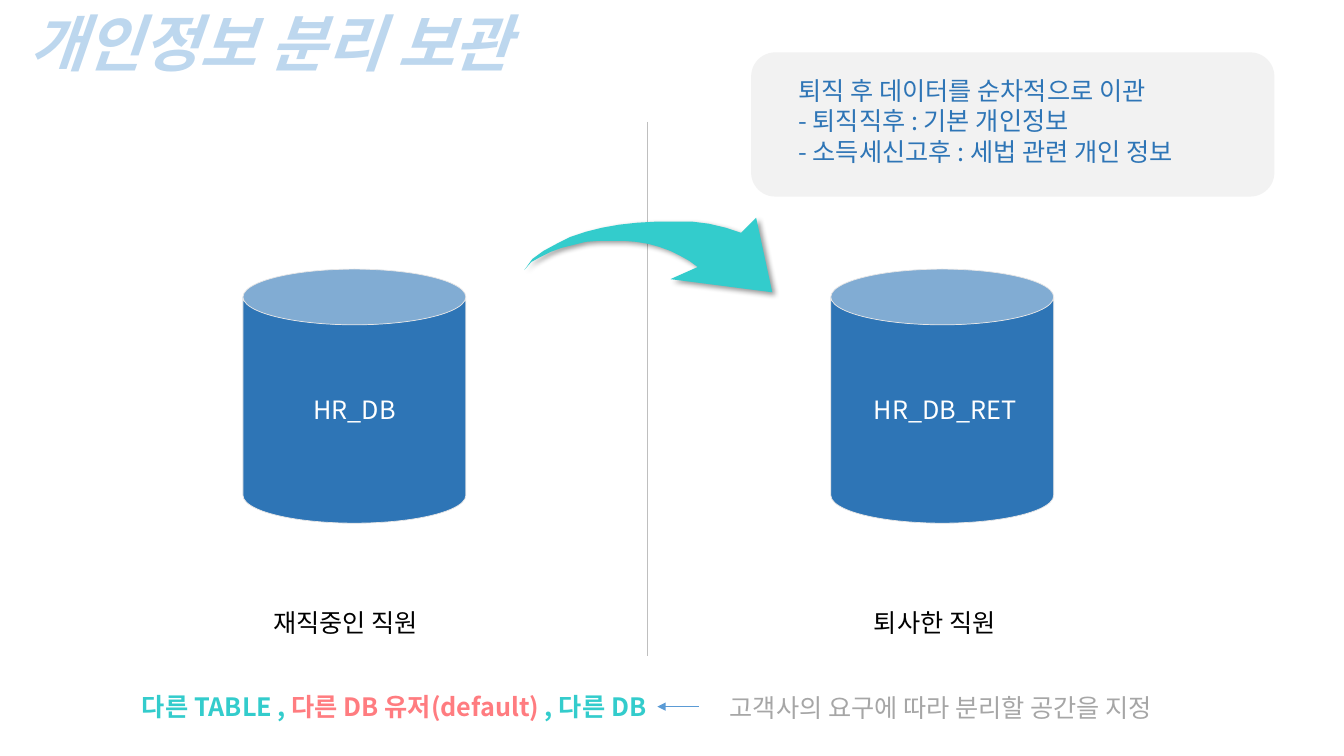
from lxml.etree import SubElement
from pptx import Presentation
from pptx.dml.color import RGBColor
from pptx.enum.shapes import MSO_CONNECTOR, MSO_SHAPE
from pptx.enum.text import MSO_AUTO_SIZE
from pptx.oxml.ns import qn
from pptx.util import Inches, Pt

FONT = "Noto Sans CJK KR"
SLIDE_W, SLIDE_H = Inches(13.33), Inches(7.5)
BLUE, TEAL, CORAL = "2E75B6", "33CCCC", "FF7C80"
ROW = 5.33  # height of a one-line text, in percent of the slide

# Outline of the swoosh arrow, in hundredths of an inch
SWOOSH = [
    (692, 265), (684, 259), (675, 254), (665, 249), (654, 245), (643, 242),
    (631, 240), (619, 239), (606, 239), (593, 239), (581, 240), (569, 243),
    (557, 246), (546, 250), (536, 255), (527, 260), (520, 268), (528, 257),
    (539, 249), (552, 242), (566, 235), (581, 230), (597, 226), (614, 223),
    (632, 221), (650, 220), (668, 220), (687, 220), (703, 222), (720, 226),
    (735, 231), (750, 216), (766, 290), (665, 277),
]


def color(value):
    return RGBColor.from_string(value)


def px(share):
    return round(SLIDE_W * share / 100)


def py(share):
    return round(SLIDE_H * share / 100)


def place(x, y, w, h):
    """Turn percentages of the slide into a position and size."""
    return px(x), py(y), px(w), py(h)


def add_text(shapes, box, parts, size=18, bold=False, italic=False, wrap=False):
    """Add a text box; parts is a list of (text, colour)."""
    tf = shapes.add_textbox(*place(*box)).text_frame
    tf.word_wrap = wrap
    tf.auto_size = MSO_AUTO_SIZE.SHAPE_TO_FIT_TEXT
    p = tf.paragraphs[0]
    for text, _ in parts:
        if "\v" in text:
            p.text = text
        else:
            p.add_run().text = text
    for i, r in enumerate(p.runs):
        r.font.name = FONT
        r.font.size = Pt(size)
        r.font.bold, r.font.italic = bold, italic
        r.font.color.rgb = color(parts[min(i, len(parts) - 1)][1])
        SubElement(r.font._element, qn("a:ea"), typeface=FONT)


def add_box(shapes, kind, box, fill, line=None):
    s = shapes.add_shape(kind, *place(*box))
    s.shadow.inherit = False
    s.fill.solid()
    s.fill.fore_color.rgb = color(fill)
    if line:
        s.line.color.rgb = color(line)
        s.line.width = Pt(0.5)
    else:
        s.line.fill.background()


def add_line(shapes, start, end, line, width, arrow=False):
    s = shapes.add_connector(MSO_CONNECTOR.STRAIGHT, px(start[0]), py(start[1]),
                             px(end[0]), py(end[1]))
    s.line.color.rgb = color(line)
    s.line.width = Pt(width)
    if arrow:
        SubElement(s.line._get_or_add_ln(), qn("a:tailEnd"), type="triangle")
    SubElement(s._element.spPr, qn("a:effectLst"))


def add_swoosh(shapes):
    builder = shapes.build_freeform(*SWOOSH[0], scale=Inches(0.01))
    builder.add_line_segments(SWOOSH[1:], close=True)
    s = builder.convert_to_shape()
    s.fill.solid()
    s.fill.fore_color.rgb = color(TEAL)
    s.line.fill.background()
    # Soft shadow to the lower right
    effects = SubElement(s._element.spPr, qn("a:effectLst"))
    shadow = SubElement(effects, qn("a:outerShdw"), blurRad=str(Pt(4)),
                        dist=str(Pt(3)), dir="2700000", algn="tl", rotWithShape="0")
    tint = SubElement(shadow, qn("a:srgbClr"), val="000000")
    SubElement(tint, qn("a:alpha"), val="40000")


def main():
    prs = Presentation()
    prs.slide_width, prs.slide_height = SLIDE_W, SLIDE_H
    shapes = prs.slides.add_slide(prs.slide_layouts[6]).shapes

    # Title
    add_text(shapes, (1.43, 0, 40.81, 11.2), [("개인정보 분리 보관", "BDD7EE")],
             size=44, bold=True, italic=True)

    # Two databases on either side of the divider
    for x in (18.08, 61.82):
        add_box(shapes, MSO_SHAPE.CAN, (x, 35.6, 16.58, 33.6), BLUE, "E7E6E6")
    add_line(shapes, (48.2, 16.13), (48.2, 86.8), "BFBFBF", 0.75)
    for x, y, w, text, tone in (
        (19.58, 79.73, 13.58, "재직중인 직원", "000000"),
        (64.29, 79.73, 11.63, "퇴사한 직원", "000000"),
        (22.58, 51.47, 7.88, "HR_DB", "FFFFFF"),
        (64.29, 51.47, 12.45, "HR_DB_RET", "FFFFFF"),
    ):
        add_text(shapes, (x, y, w, ROW), [(text, tone)])
    add_swoosh(shapes)

    # Callout on the order of transfer
    callout = shapes.add_group_shape().shapes
    add_box(callout, MSO_SHAPE.ROUNDED_RECTANGLE, (55.89, 6.93, 38.93, 19.07), "F2F2F2")
    steps = ("퇴직 후 데이터를 순차적으로 이관", "- 퇴직직후 : 기본 개인정보",
             "- 소득세신고후 : 세법 관련 개인 정보")
    add_text(callout, (58.66, 9.33, 33.23, 13.47), [("\v".join(steps), BLUE)])

    # Storage options and their note
    add_text(shapes, (9.83, 90.8, 39.08, ROW),
             [("다른 TABLE , ", TEAL), ("다른 DB 유저(default) ", CORAL), (", 다른 DB", TEAL)],
             bold=True, wrap=True)
    add_text(shapes, (53.56, 90.93, 37.06, ROW),
             [("고객사의 요구에 따라 분리할 공간을 지정", "A6A6A6")], wrap=True)
    add_line(shapes, (51.99, 93.47), (48.91, 93.47), "5B9BD5", 0.5, arrow=True)

    prs.save("out.pptx")


if __name__ == "__main__":
    main()
